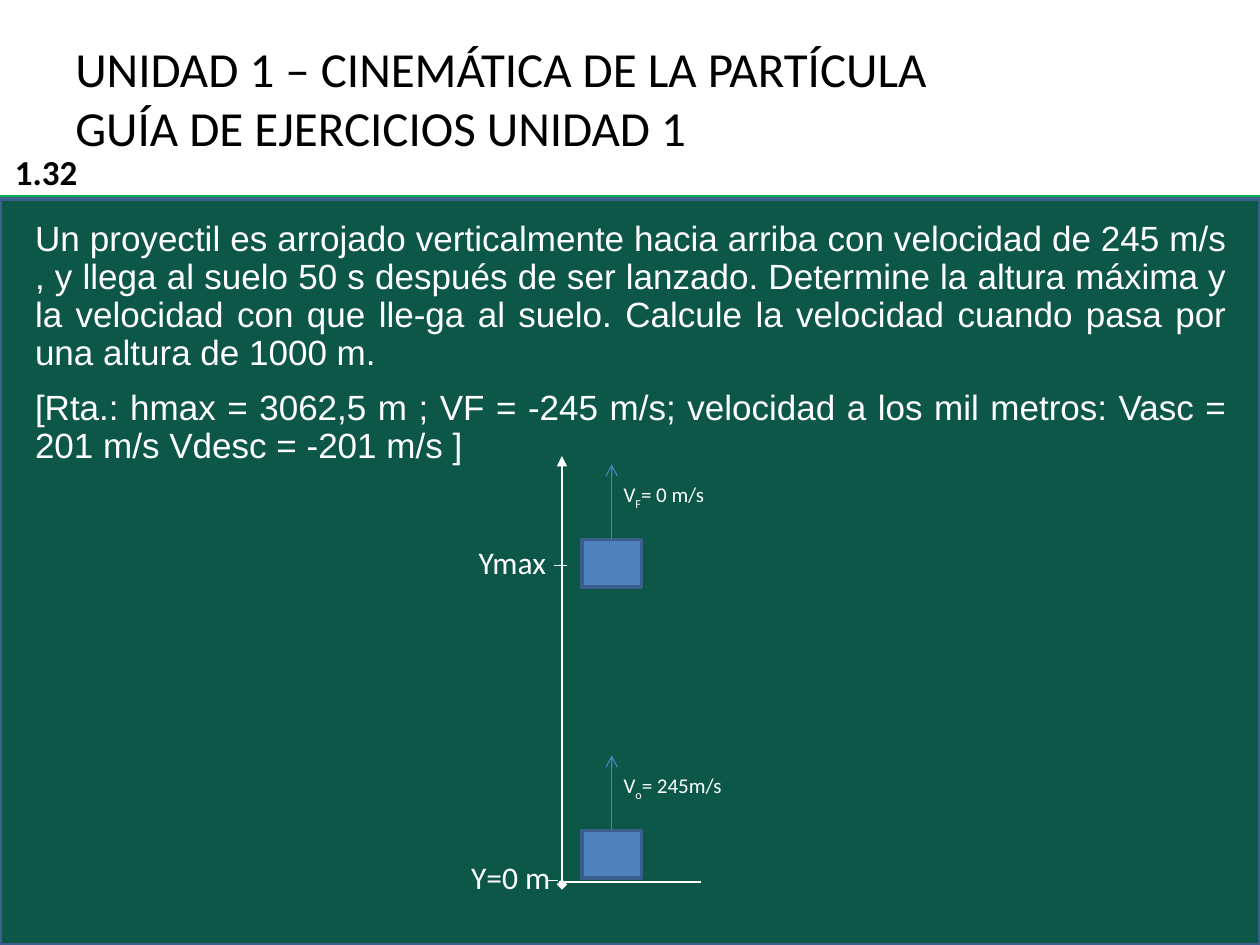
from lxml import etree
from pptx import Presentation
from pptx.dml.color import RGBColor
from pptx.enum.shapes import MSO_CONNECTOR, MSO_SHAPE
from pptx.enum.text import MSO_ANCHOR, PP_ALIGN
from pptx.oxml.ns import qn
from pptx.util import Inches, Pt

STRAIGHT = MSO_CONNECTOR.STRAIGHT
RECTANGLE = MSO_SHAPE.RECTANGLE
TOP, MIDDLE = MSO_ANCHOR.TOP, MSO_ANCHOR.MIDDLE
JUSTIFY = PP_ALIGN.JUSTIFY

# Content
TITLE = "UNIDAD 1 – CINEMÁTICA DE LA PARTÍCULA\vGUÍA DE EJERCICIOS UNIDAD 1"
NUMBER = "1.32"
STATEMENT = [
    "Un proyectil es arrojado verticalmente hacia arriba con velocidad de 245 m/s "
    ", y llega al suelo 50 s después de ser lanzado. Determine la altura máxima y "
    "la velocidad con que lle-ga al suelo. Calcule la velocidad cuando pasa por "
    "una altura de 1000 m. ",
    "[Rta.: hmax = 3062,5 m ; VF = -245 m/s; velocidad a los mil metros: "
    "Vasc = 201 m/s Vdesc = -201 m/s ]",
]
# Row of the projectile's top, speed subscript, speed value
PROJECTILES = [(65.9, "o", "= 245m/s"), (42.8, "F", "= 0 m/s")]
# Label, its column, row and width; then the tick's column and row
HEIGHTS = [("Ymax", 37, 42.6, 7.4, 44, 44.9),
           ("Y=0 m", 36.4, 67.6, 8.4, 43.3, 69.9)]

WHITE, BLACK = "FFFFFF", "000000"
GREEN, BOARD = "00B050", "0C5747"
BLUE, EDGE, ARROW = "4F81BD", "3A5F8C", "4B7EBC"

# Grid of 100 columns by 75 rows
COLUMNS, ROWS = 100, 75
BOARD_ROW = 15.8
AXIS_COLUMN, GROUND_ROW = 44.6, 70
BODY_COLUMN, BODY_WIDTH, BODY_HEIGHT = 46.2, 4.7, 3.8
SPEED_LENGTH, TICK_LENGTH = 5.95, 1

prs = Presentation()
prs.slide_width, prs.slide_height = Inches(10), Inches(7.5)
slide = prs.slides.add_slide(prs.slide_layouts[6])
shapes = slide.shapes


def rgb(color):
    return RGBColor.from_string(color)


def grid(*cells):
    """Turn alternating columns and rows into slide lengths."""
    units = (prs.slide_width / COLUMNS, prs.slide_height / ROWS)
    return [round(cell * units[i % 2]) for i, cell in enumerate(cells)]


def add_block(cells, fill):
    block = shapes.add_shape(RECTANGLE, *grid(*cells))
    block.shadow.inherit = False
    block.fill.solid()
    block.fill.fore_color.rgb = rgb(fill)
    block.line.color.rgb = rgb(EDGE)
    block.line.width = Pt(2)
    return block


def add_line(cells, color=WHITE, width=0.75, head=None, tail=None):
    line = shapes.add_connector(STRAIGHT, *grid(*cells))
    line.line.color.rgb = rgb(color)
    line.line.width = Pt(width)
    outline = line.line._get_or_add_ln()
    for tag, kind in (("a:headEnd", head), ("a:tailEnd", tail)):
        if kind:
            etree.SubElement(outline, qn(tag)).set("type", kind)
    etree.SubElement(line._element.spPr, qn("a:effectLst"))
    return line


def add_text(cells, paragraphs, size, color=WHITE, font="Calibri", bold=False,
             justified=False, anchor=TOP, wrap=True):
    """Each paragraph is a list of runs."""
    frame = shapes.add_textbox(*grid(*cells)).text_frame
    frame.word_wrap = wrap
    frame.vertical_anchor = anchor
    for i, pieces in enumerate(paragraphs):
        paragraph = frame.add_paragraph() if i else frame.paragraphs[0]
        if len(pieces) == 1:
            paragraph.text = pieces[0]
        else:
            for piece in pieces:
                paragraph.add_run().text = piece
        if justified:
            paragraph.alignment = JUSTIFY
            paragraph.line_spacing = 0.9
            paragraph.space_before = Pt(10)
        for run in paragraph.runs:
            run.font.name, run.font.size, run.font.bold = font, Pt(size), bold
            run.font.color.rgb = rgb(color)
    return frame


# Header rule and board
add_line((0, 15.6, COLUMNS, 15.6), GREEN, 2.25)
add_block((0, BOARD_ROW, COLUMNS, ROWS - BOARD_ROW), BOARD)

# Title, exercise number and statement
add_text((5, 2.1, 81.7, 11.3), [[TITLE]], 28, BLACK, anchor=MIDDLE)
add_text((1.8, 17.1, 96.6, 27.1), [[text] for text in STATEMENT], 20,
         font="Arial", justified=True)
add_text((0.2, 11.8, 96.6, 4.9), [[NUMBER]], 20, BLACK, bold=True, justified=True)

# Height axis and ground
add_line((AXIS_COLUMN, 70.2, AXIS_COLUMN, 36.2), head="diamond", tail="triangle")
add_line((44.4, GROUND_ROW, 55.6, GROUND_ROW))
for label, column, row, width, tick_column, tick_row in HEIGHTS:
    add_text((column, row, width, 4), [[label]], 18, wrap=False)
    add_line((tick_column, tick_row, tick_column + TICK_LENGTH, tick_row))

# Projectile with its speed arrow at each height
center = BODY_COLUMN + BODY_WIDTH / 2
for row, subscript, value in PROJECTILES:
    body = add_block((BODY_COLUMN, row, BODY_WIDTH, BODY_HEIGHT), BLUE)
    speed = add_line((center, row, center, row - SPEED_LENGTH), ARROW, tail="arrow")
    speed.begin_connect(body, 0)
    frame = add_text((48.5, row - 5.05, 11.8, 3), [["V", subscript, value]], 12)
    frame.paragraphs[0].runs[1].font._element.set("baseline", "-25000")

prs.save("out.pptx")
